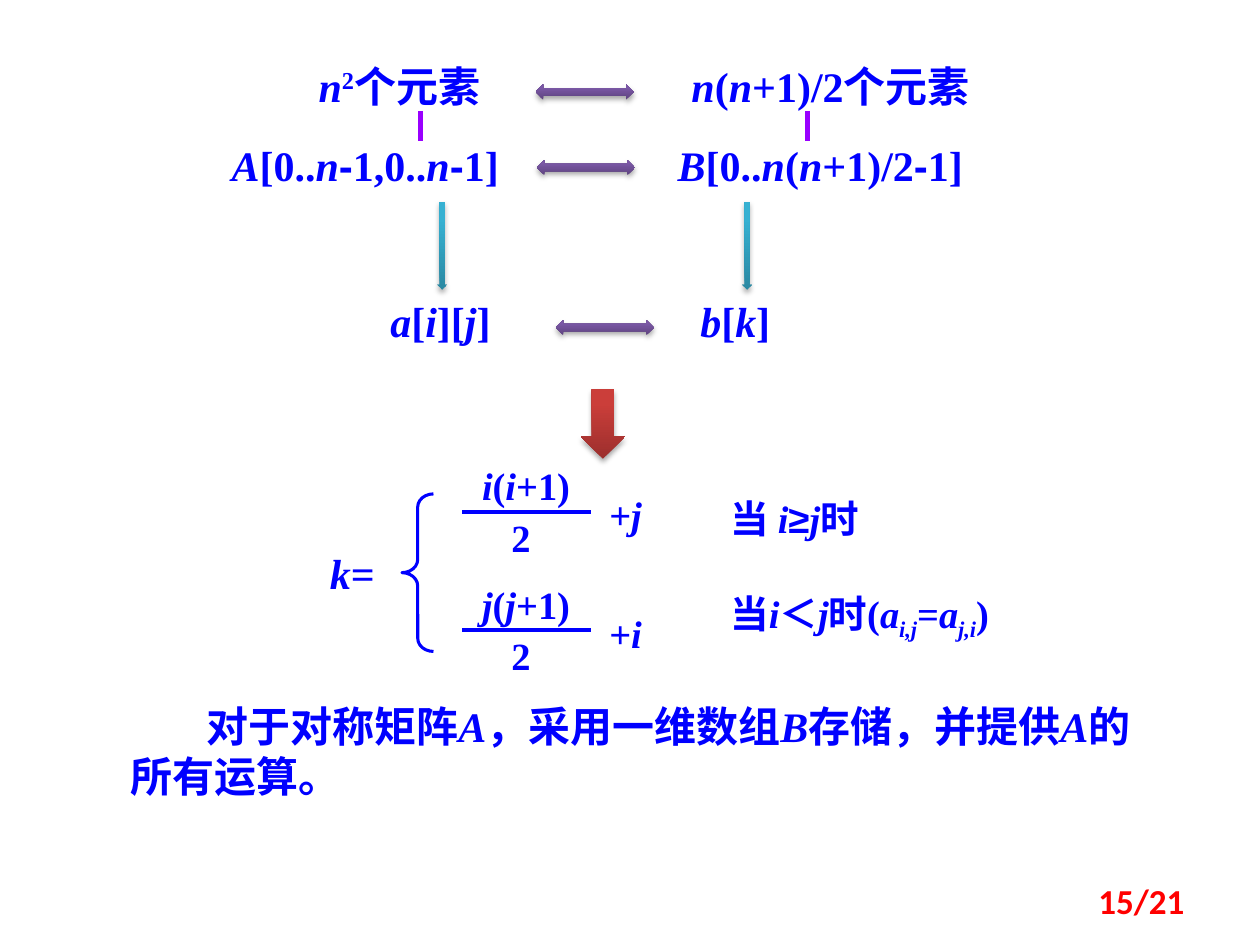
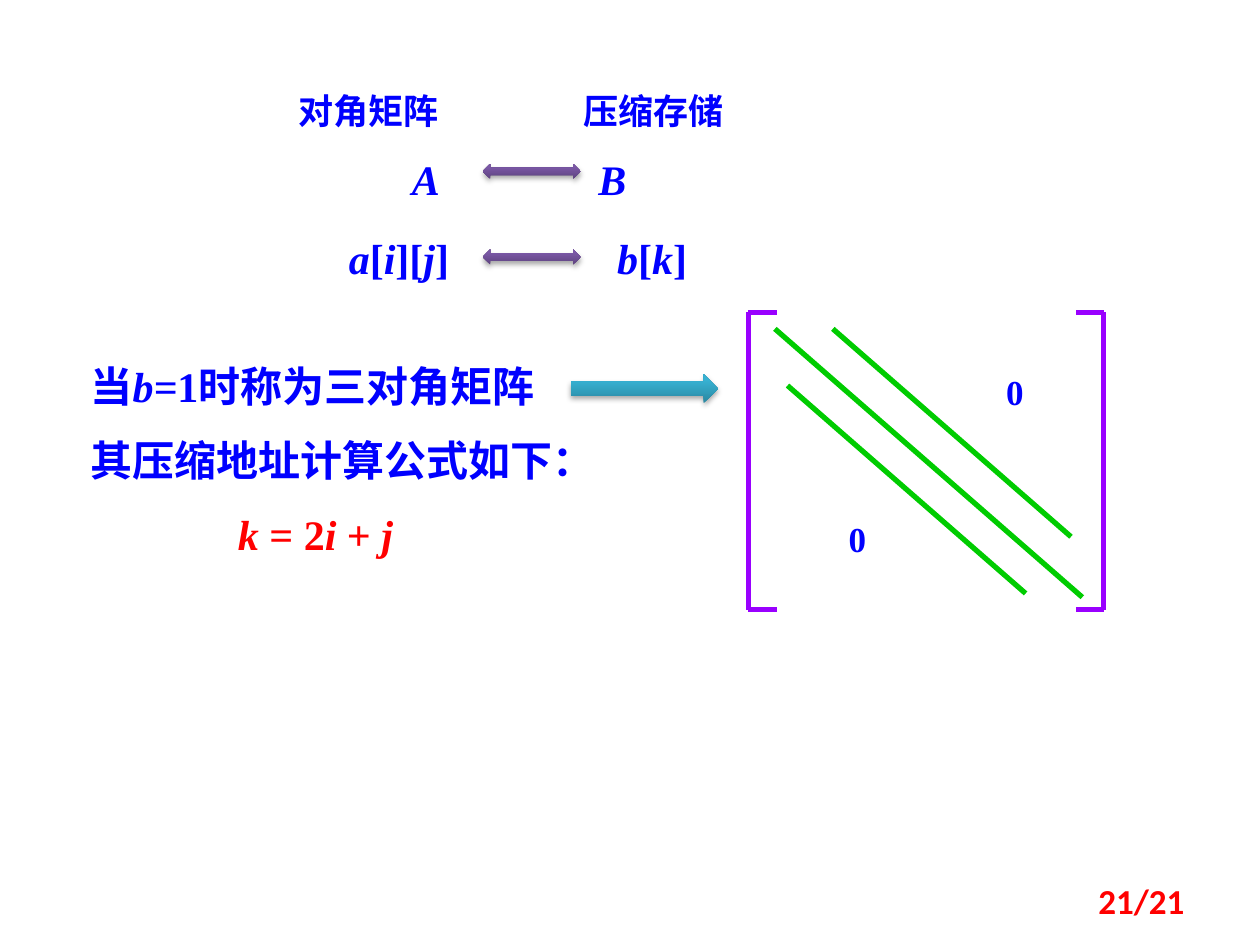
from itertools import groupby

from lxml.etree import SubElement
from pptx import Presentation
from pptx.dml.color import RGBColor
from pptx.enum.shapes import MSO_CONNECTOR, MSO_SHAPE as SHAPE
from pptx.enum.text import MSO_ANCHOR as ANCHOR, PP_ALIGN as ALIGN
from pptx.oxml.ns import qn
from pptx.util import Inches, Pt

BLUE = RGBColor(0x00, 0x00, 0xFF)
RED = RGBColor(0xFF, 0x00, 0x00)
VIOLET = RGBColor(0x99, 0x00, 0xFF)
GREEN = RGBColor(0x00, 0xCC, 0x00)
PURPLE_FADE = RGBColor(0x5F, 0x44, 0x80), RGBColor(0x7B, 0x58, 0xA6)
TEAL_FADE = RGBColor(0x2A, 0x88, 0xA2), RGBColor(0x37, 0xB1, 0xD2)
RED_FADE = RGBColor(0x9C, 0x2F, 0x2D), RGBColor(0xCB, 0x3E, 0x3A)
SERIF, SANS, FOOTER_FONT = "Times New Roman", "Arial", "Calibri"
BASELINES = {"^": "30000", "_": "-25000"}
PARA_GAP = 13.5


def marked_chars(text):
    """Yield (italic, baseline, sans, char); * is italic, ^ raised, _ lowered."""
    italic, baseline = False, None
    for char in text:
        if char == "*":
            italic = not italic
        elif char in BASELINES:
            baseline = None if baseline else BASELINES[char]
        else:
            yield italic, baseline, char in "-≥", char


def add_runs(p, text):
    for (italic, baseline, sans), chars in groupby(marked_chars(text), lambda c: c[:3]):
        r = p.add_run()
        r.text = "".join(c[3] for c in chars)
        if italic:
            r.font.italic = True
        if sans:
            r.font.name = SANS
        if baseline:
            r._r.get_or_add_rPr().set("baseline", baseline)


def set_font(p, size, color=BLUE, name=SERIF):
    p.font.name = name
    p.font.size = Pt(size)
    p.font.bold = True
    p.font.color.rgb = color


def add_box(s, x, y, w, h, wrap=True, inset=True):
    tf = s.shapes.add_textbox(Inches(x), Inches(y), Inches(w), Inches(h)).text_frame
    tf.word_wrap = wrap
    if not inset:
        tf.margin_left = tf.margin_right = tf.margin_top = tf.margin_bottom = 0
    return tf


def add_label(s, text, x, y, w, h, size=22, align=ALIGN.LEFT, inset=True):
    p = add_box(s, x, y, w, h, inset=inset).paragraphs[0]
    add_runs(p, text)
    p.alignment = align
    set_font(p, size)


def add_pairs(s, x, y, w, h, rows):
    tf = add_box(s, x, y, w, h)
    for n, (left, left_x, right, right_x, gap) in enumerate(rows):
        p = tf.add_paragraph() if n else tf.paragraphs[0]
        add_runs(p, f"\t{left}\t{right}")
        tabs = SubElement(p._p.get_or_add_pPr(), qn("a:tabLst"))
        for stop in (left_x, right_x):
            SubElement(tabs, qn("a:tab"), pos=str(Inches(stop - x - 0.1)), algn="l")
        p.line_spacing = 1.1
        if n:
            p.space_before = Pt(gap)
        set_font(p, 24)


def add_line(s, x1, y1, x2, y2, color, width=3):
    line = s.shapes.add_connector(
        MSO_CONNECTOR.STRAIGHT, Inches(x1), Inches(y1), Inches(x2), Inches(y2))
    line.line.color.rgb = color
    line.line.width = Pt(width)
    SubElement(line._element.spPr, qn("a:effectLst"))


def add_arrow(s, kind, x, y, w, h, fade):
    arrow = s.shapes.add_shape(kind, Inches(x), Inches(y), Inches(w), Inches(h))
    arrow.fill.gradient()
    arrow.fill.gradient_angle = 90
    for stop, color, position in zip(arrow.fill.gradient_stops, fade, (0, 0.8)):
        stop.color.rgb = color
        stop.position = position
    arrow.line.fill.background()
    arrow.shadow.inherit = False
    effects = arrow._element.spPr.find(qn("a:effectLst"))
    shadow = SubElement(effects, qn("a:outerShdw"), blurRad=str(Pt(3.1)),
                        dist=str(Pt(1.8)), dir="5400000", rotWithShape="0")
    black = SubElement(shadow, qn("a:srgbClr"), val="000000")
    SubElement(black, qn("a:alpha"), val="35000")


def add_double_arrow(s, x, y):
    add_arrow(s, SHAPE.LEFT_RIGHT_ARROW, x, y, 0.78, 0.12, PURPLE_FADE)


def add_fraction(s, y, numerator, addend):
    for text, x, dy, w in ((numerator, 3.59, 0, 1.17), ("2", 3.86, 0.41, 0.55),
                           (addend, 4.69, 0.23, 0.55)):
        add_label(s, text, x, y + dy, w, 0.37, align=ALIGN.CENTER, inset=False)
    add_line(s, 3.67, y + 0.39, 4.69, y + 0.39, BLUE, 2.25)


def add_brace(s, x, y, w, h):
    brace = s.shapes.add_shape(SHAPE.LEFT_BRACE, Inches(x), Inches(y), Inches(w), Inches(h))
    brace.adjustments[0] = 0.417
    brace.fill.background()
    brace.line.color.rgb = BLUE
    brace.line.width = Pt(1.75)
    brace.shadow.inherit = False


def add_bracket(s, x, tip_x, top, bottom):
    add_line(s, x, top, x, bottom, VIOLET)
    for y in (top, bottom):
        add_line(s, x, y, tip_x, y, VIOLET)


def add_page_number(s, number):
    tf = add_box(s, 7.17, 6.95, 2.33, 0.4)
    tf.vertical_anchor = ANCHOR.MIDDLE
    p = tf.paragraphs[0]
    add_runs(p, f"{number}/21")
    p.alignment = ALIGN.RIGHT
    set_font(p, 20, RED, FOOTER_FONT)


def build_symmetric(s):
    add_pairs(s, 1.33, 0.39, 6.83, 2.48, [
        ("*n*^2^个元素", 2.53, "*n*(*n*+1)/2个元素", 5.49, 0),
        ("*A*[0..*n*-1,0..*n*-1]", 1.84, "*B*[0..*n*(*n*+1)/2-1]", 5.38, PARA_GAP),
        ("*a*[*i*][*j*]", 3.1, "*b*[*k*]", 5.56, 57.5),
    ])
    for x in (3.34, 6.41):
        add_line(s, x, 0.88, x, 1.12, VIOLET)
    for x, y in ((4.25, 0.67), (4.26, 1.27), (4.41, 2.54)):
        add_double_arrow(s, x, y)
    for x in (3.47, 5.89):
        add_arrow(s, SHAPE.DOWN_ARROW, x, 1.6, 0.08, 0.7, TEAL_FADE)
    add_arrow(s, SHAPE.DOWN_ARROW, 4.61, 3.09, 0.35, 0.55, RED_FADE)

    add_label(s, "*k*=", 2.52, 4.3, 0.67, 0.5, 24)
    add_brace(s, 3.19, 3.92, 0.25, 1.25)
    add_fraction(s, 3.67, "*i*(*i*+1)", "+*j*")
    add_fraction(s, 4.61, "*j*(*j*+1)", "+*i*")
    add_label(s, "当 *i*≥*j*时", 5.7, 3.88, 1.49, 0.47)
    add_label(s, "当*i*＜*j*时(*a*_*i,j*_=*a*_*j,i*_)", 5.7, 4.63, 2.97, 0.47)

    p = add_box(s, 0.94, 5.51, 8.44, 0.91).paragraphs[0]
    add_runs(p, "对于对称矩阵*A*，采用一维数组*B*存储，并提供*A*的所有运算。")
    p._p.get_or_add_pPr().set("indent", str(Inches(0.6)))
    set_font(p, 24)


def build_diagonal(s):
    add_label(s, "对角矩阵", 2.27, 0.66, 1.48, 0.44, 20)
    add_label(s, "压缩存储", 4.53, 0.66, 1.41, 0.44, 20)
    add_pairs(s, 2.19, 1.13, 3.86, 1.19, [
        ("*A*", 3.27, "*B*", 4.75, 0),
        ("*a*[*i*][*j*]", 2.77, "*b*[*k*]", 4.9, PARA_GAP),
    ])
    for y in (1.3, 1.98):
        add_double_arrow(s, 3.83, y)

    tf = add_box(s, 0.62, 2.81, 4.41, 1.72)
    lines = (("当*b=*1时称为三对角矩阵", BLUE, 0),
             ("其压缩地址计算公式如下：", BLUE, 0),
             ("*k* = 2*i* + *j*", RED, 1.17))
    for n, (text, color, margin) in enumerate(lines):
        p = tf.add_paragraph() if n else tf.paragraphs[0]
        add_runs(p, text)
        p._p.get_or_add_pPr().set("marL", str(Inches(margin)))
        if n:
            p.space_before = Pt(PARA_GAP)
        set_font(p, 24, color)
    add_arrow(s, SHAPE.RIGHT_ARROW, 4.53, 2.97, 1.17, 0.23, TEAL_FADE)

    add_bracket(s, 5.94, 6.17, 2.48, 4.84)
    add_bracket(s, 8.76, 8.54, 2.48, 4.84)
    for diagonal in ((6.15, 2.61, 8.59, 4.74), (6.61, 2.61, 8.5, 4.26),
                     (6.25, 3.06, 8.14, 4.71)):
        add_line(s, *diagonal, GREEN)
    for x, y in ((6.41, 4.06), (7.66, 2.89)):
        add_label(s, "0", x, y, 0.79, 0.43, 20, ALIGN.CENTER)


def main():
    prs = Presentation()
    prs.slide_width, prs.slide_height = Inches(10), Inches(7.5)
    for build, number in ((build_symmetric, 15), (build_diagonal, 21)):
        s = prs.slides.add_slide(prs.slide_layouts[6])
        build(s)
        add_page_number(s, number)
    prs.save("out.pptx")


if __name__ == "__main__":
    main()
